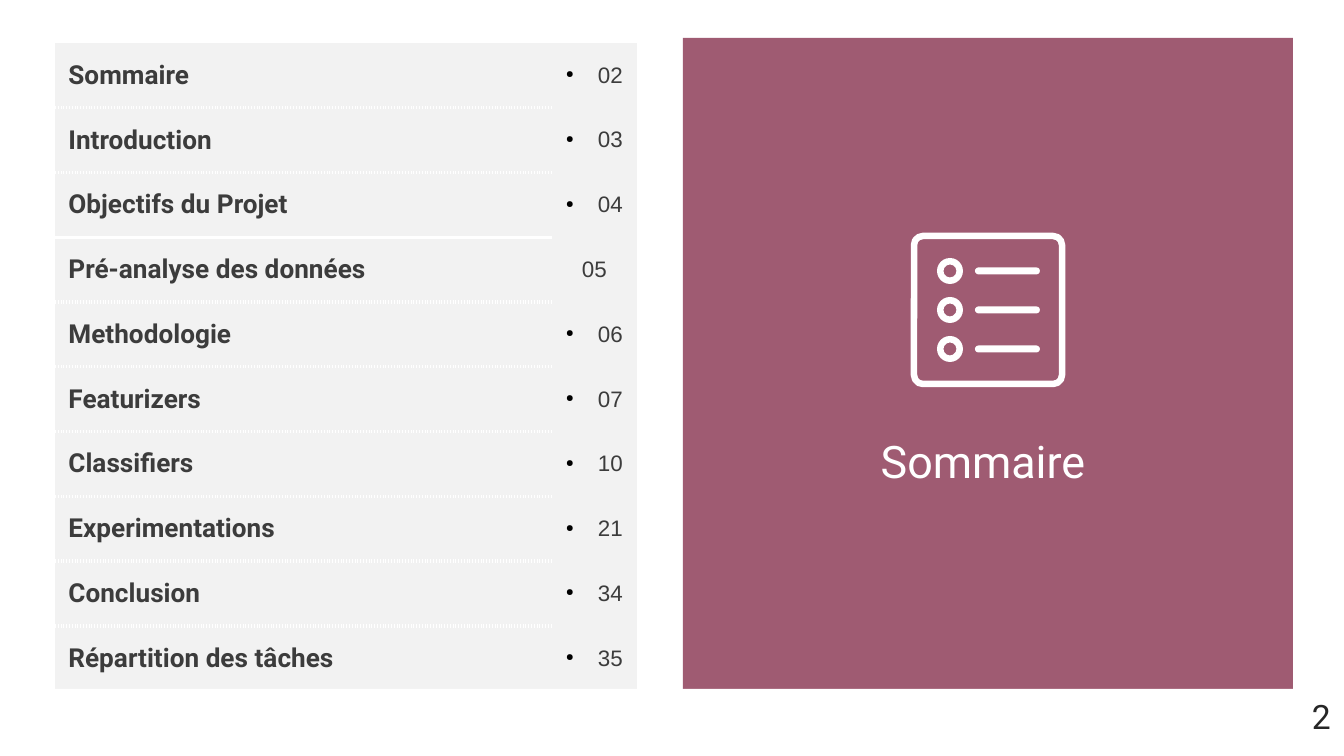
from lxml import etree
from pptx import Presentation, util as u
from pptx.dml.color import RGBColor
from pptx.enum import shapes, text
from pptx.oxml import ns, parse_xml

# Content: heading, page, bulleted page number
TITLE = "Sommaire "
PAGE_NUMBER = "2"
CONTENTS = [
    ("Sommaire", "02", True),
    ("Introduction", "03", True),
    ("Objectifs du Projet", "04", True),
    ("Pré-analyse des données", "05", False),
    ("Methodologie", "06", True),
    ("Featurizers", "07", True),
    ("Classifiers", "10", True),
    ("Experimentations", "21", True),
    ("Conclusion", "34", True),
    ("Répartition des tâches", "35", True),
]
COLORS = {"panel": "9F5B72", "cell": "F2F2F2", "text": "3C3C3C",
          "white": "FFFFFF", "number": "262626", "bullet": "000000"}

# Layout in px
SLIDE = (1344, 756)
PANEL = (683, 38, 610, 651)
TABLE = (55, 43, 582, 648)
COLUMNS = (497, 85)
TITLE_BOX = (742, 434, 493, 54)
FOOTER = (0, 689, 1344, 67)
ICON_FRAME = (914, 236, 148, 148)
ICON_ROWS, ICON_TOP, ICON_STEP = 3, 258, 39
RING_LEFT, RING_SIZE = 937, 26
BAR_LEFT, BAR_WIDTH, BAR_HEIGHT = 975, 65, 7
BULLET_INDENT = 32


def px(value):
    return u.Emu(round(value * 914400 / 134.4))


def color(name):
    return RGBColor.from_string(COLORS[name])


def add_filled(parent, kind, box, fill):
    shape = parent.add_shape(kind, *map(px, box))
    shape.shadow.inherit = False
    shape.line.fill.background()
    shape.fill.solid()
    shape.fill.fore_color.rgb = color(fill)
    return shape


def write(frame, words, size, name, fill, align, bold=False):
    frame.text = words
    paragraph = frame.paragraphs[0]
    paragraph.alignment = align
    font = paragraph.runs[0].font
    font.size, font.name, font.bold = u.Pt(size), name, bold
    font.color.rgb = color(fill)
    return paragraph


def add_bullet(paragraph):
    properties = paragraph._p.get_or_add_pPr()
    properties.set("marL", str(px(BULLET_INDENT)))
    properties.set("indent", str(-px(BULLET_INDENT)))
    bullet_color = etree.SubElement(properties, ns.qn("a:buClr"))
    etree.SubElement(bullet_color, ns.qn("a:srgbClr"), val=COLORS["bullet"])
    etree.SubElement(properties, ns.qn("a:buSzPct"), val="45000")
    etree.SubElement(properties, ns.qn("a:buChar"), char="●")


def add_borders(cell, sides, dash):
    properties = cell._tc.get_or_add_tcPr()
    for position, side in enumerate(sides):
        properties.insert(position, parse_xml(
            f'<a:ln{side} {ns.nsdecls("a")} w="{u.Pt(1.98)}"><a:solidFill>'
            f'<a:srgbClr val="{COLORS["white"]}"/></a:solidFill>'
            f'<a:prstDash val="{dash}"/></a:ln{side}>'))


presentation = Presentation()
presentation.slide_width, presentation.slide_height = map(px, SLIDE)
slide = presentation.slides.add_slide(presentation.slide_layouts[5])
align, kinds = text.PP_ALIGN, shapes.MSO_SHAPE

# Coloured panel with the title above it
panel = add_filled(slide.shapes, kinds.RECTANGLE, PANEL, "panel")
title = slide.shapes.title
panel._element.addnext(title._element)
title.left, title.top, title.width, title.height = map(px, TITLE_BOX)
frame = title.text_frame
frame.margin_left = frame.margin_right = frame.margin_top = frame.margin_bottom = 0
frame.vertical_anchor = text.MSO_ANCHOR.MIDDLE
frame.auto_size = text.MSO_AUTO_SIZE.NONE
write(frame, TITLE, 24, "Roboto", "white", align.CENTER)

# Table of contents
graphic = slide.shapes.add_table(len(CONTENTS), len(COLUMNS), *map(px, TABLE))
table = graphic.table
table.first_row = table.horz_banding = False
for style in graphic._element.iter(ns.qn("a:tableStyleId")):
    style.text = "{2D5ABB26-0587-4C30-8999-92F81FD0307C}"  # no style, no grid
for column, width in zip(table.columns, COLUMNS):
    column.width = px(width)
for index, (heading, page, bulleted) in enumerate(CONTENTS):
    table.rows[index].height = px(TABLE[3] / len(CONTENTS))
    heading_cell, page_cell = table.rows[index].cells
    for cell in (heading_cell, page_cell):
        cell.fill.solid()
        cell.fill.fore_color.rgb = color("cell")
        cell.vertical_anchor = text.MSO_ANCHOR.MIDDLE
    write(heading_cell.text_frame, heading, 14, "Roboto", "text", align.LEFT, True)
    paragraph = write(page_cell.text_frame, page, 12, "Arial", "text", align.CENTER)
    if bulleted:
        add_bullet(paragraph)
    add_borders(heading_cell, "TB" if index else "B", "dot" if bulleted else "solid")

# List icon
icon = slide.shapes.add_group_shape().shapes
border = add_filled(icon, kinds.ROUNDED_RECTANGLE, ICON_FRAME, "white")
border.fill.background()
border.line.color.rgb = color("white")
border.line.width = u.Pt(3.5)
border.adjustments[0] = 0.06
for row in range(ICON_ROWS):
    top = ICON_TOP + row * ICON_STEP
    ring = add_filled(icon, kinds.DONUT, (RING_LEFT, top, RING_SIZE, RING_SIZE), "white")
    ring.adjustments[0] = 0.25
    bar_top = top + (RING_SIZE - BAR_HEIGHT) / 2
    bar = add_filled(icon, kinds.ROUNDED_RECTANGLE,
                     (BAR_LEFT, bar_top, BAR_WIDTH, BAR_HEIGHT), "white")
    bar.adjustments[0] = 0.5

# Footer with page number
footer = add_filled(slide.shapes, kinds.RECTANGLE, FOOTER, "white")
footer.text_frame.vertical_anchor = text.MSO_ANCHOR.TOP
write(footer.text_frame, PAGE_NUMBER, 18, "Roboto", "number", align.RIGHT)

presentation.save("out.pptx")
